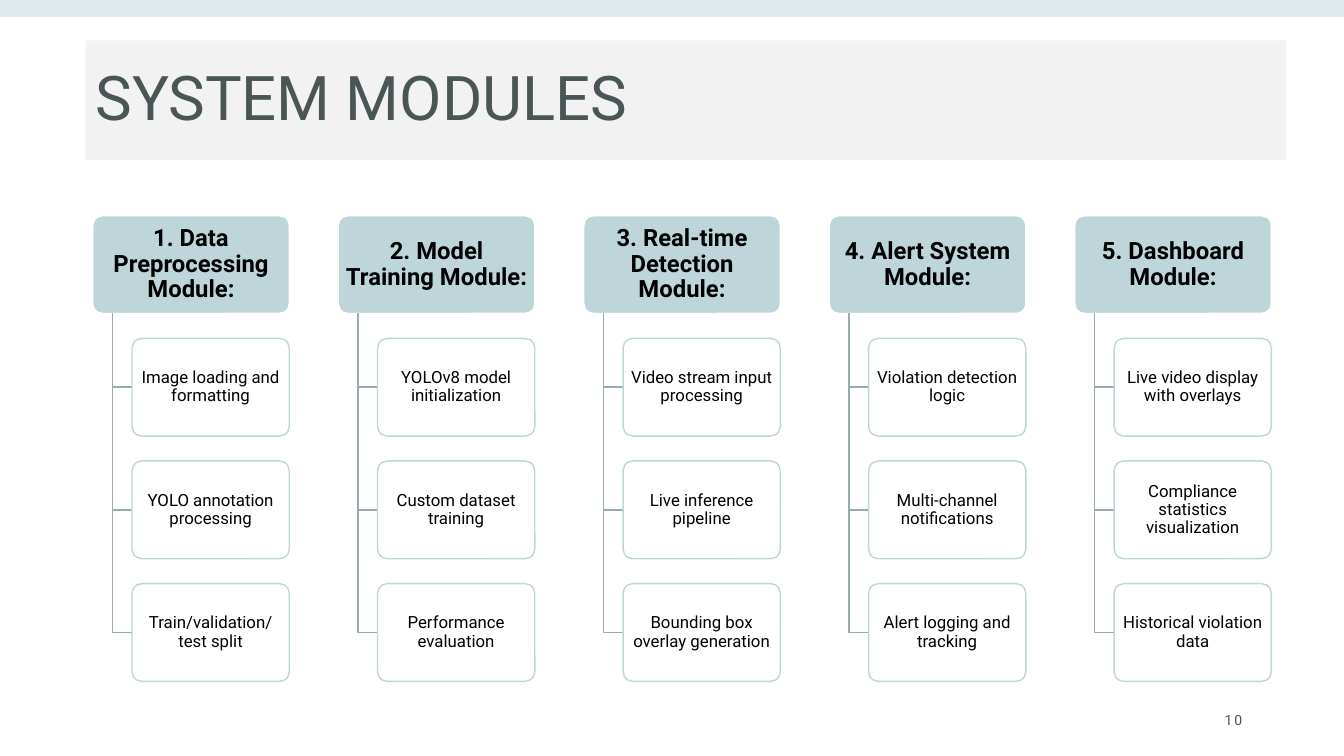
from lxml import etree
from pptx import Presentation
from pptx.dml.color import RGBColor as Rgb
from pptx.enum.shapes import MSO_SHAPE as Kind
from pptx.enum.text import MSO_ANCHOR as Anchor, PP_ALIGN as Align
from pptx.oxml.ns import qn
from pptx.util import Inches, Pt

TITLE = "SYSTEM MODULES"
PAGE = "10"
MODULES = [
    ("1. Data Preprocessing Module:",
     ["Image loading and formatting", "YOLO annotation processing", "Train/validation/test split"]),
    ("2. Model Training Module:",
     ["YOLOv8 model initialization", "Custom dataset training", "Performance evaluation"]),
    ("3. Real-time Detection Module:",
     ["Video stream input processing", "Live inference pipeline", "Bounding box overlay generation"]),
    ("4. Alert System Module:",
     ["Violation detection logic", "Multi-channel notifications", "Alert logging and tracking"]),
    ("5. Dashboard Module:",
     ["Live video display with overlays", "Compliance statistics visualization",
      "Historical violation data"]),
]
COLORS = {"teal": "BED6DA", "panel": "F2F2F2", "slate": "4A5656",
          "line": "98ABAF", "white": "FFFFFF", "black": "000000"}
FONT = "Roboto"

LEFT, TOP = 0.92, 2.14
COL_STEP = (10.66 - LEFT) / (len(MODULES) - 1)
ROW_STEP = (5.79 - TOP) / 3
HEAD_W, STEP_W, BOX_H = 1.95, 1.56, 0.97
INDENT = HEAD_W - STEP_W


def color(name):
    return Rgb.from_string(COLORS[name])


def fade(shape, percent):
    """Set the opacity of a solid fill."""
    tint = shape.fill._xPr.find(qn("a:solidFill"))[0]
    etree.SubElement(tint, qn("a:alpha"), val=str(percent * 1000))


def add_box(slide, kind, left, top, width, height, fill, line=None):
    box = slide.shapes.add_shape(kind, Inches(left), Inches(top), Inches(width), Inches(height))
    box.shadow.inherit = False
    box.fill.solid()
    box.fill.fore_color.rgb = color(fill)
    if line:
        box.line.color.rgb = color(line)
        box.line.width = Pt(1)
    else:
        box.line.fill.background()
    return box


def write(shape, text, size, tone="black", align=Align.CENTER, bold=False, inset=(0.1, 0.05)):
    frame = shape.text_frame
    frame.text = text
    frame.word_wrap = True
    frame.vertical_anchor = Anchor.MIDDLE
    frame.margin_left = frame.margin_right = Inches(inset[0])
    frame.margin_top = frame.margin_bottom = Inches(inset[1])
    para = frame.paragraphs[0]
    para.alignment = align
    para.line_spacing = 0.9
    font = para.runs[0].font
    font.name, font.size, font.bold = FONT, Pt(size), bold
    font.color.rgb = color(tone)
    return para.runs[0]


def add_card(slide, left, top, width, fill, line):
    card = add_box(slide, Kind.ROUNDED_RECTANGLE, left, top, width, BOX_H, fill, line)
    card.adjustments[0] = 0.1
    return card


def add_elbow(slide, left, top, right, bottom):
    """Draw a line down from a heading, then right to a step."""
    pen = slide.shapes.build_freeform(Inches(left), Inches(top))
    pen.add_line_segments([(Inches(left), Inches(bottom)), (Inches(right), Inches(bottom))],
                          close=False)
    elbow = pen.convert_to_shape()
    elbow.shadow.inherit = False
    elbow.fill.background()
    elbow.line.color.rgb = color("line")
    elbow.line.width = Pt(1)


def add_module(slide, left, head, steps):
    card = add_card(slide, left, TOP, HEAD_W, "teal", "white")
    write(card, head, 17, bold=True, inset=(0.04, 0.02))
    for row, step in enumerate(steps, 1):
        top = TOP + row * ROW_STEP
        add_elbow(slide, left + INDENT / 2, TOP + BOX_H, left + INDENT, top + BOX_H / 2)
        card = add_card(slide, left + INDENT, top, STEP_W, "white", "teal")
        fade(card, 90)
        write(card, step, 12, inset=(0.03, 0.02))


def main():
    deck = Presentation()
    deck.slide_width, deck.slide_height = Inches(13.33), Inches(7.5)
    slide = deck.slides.add_slide(deck.slide_layouts[6])

    band = add_box(slide, Kind.RECTANGLE, 0, 0, 13.33, 0.17, "teal")
    fade(band, 50)
    panel = add_box(slide, Kind.RECTANGLE, 0.85, 0.4, 11.91, 1.19, "panel")
    write(panel, TITLE, 44, "slate", Align.LEFT)
    note = slide.shapes.add_textbox(Inches(9.42), Inches(6.95), Inches(3), Inches(0.4))
    run = write(note, PAGE, 10, "slate", Align.RIGHT)
    run.font._element.set("spc", "150")

    for col, (head, steps) in enumerate(MODULES):
        add_module(slide, LEFT + col * COL_STEP, head, steps)

    deck.save("out.pptx")


if __name__ == "__main__":
    main()
